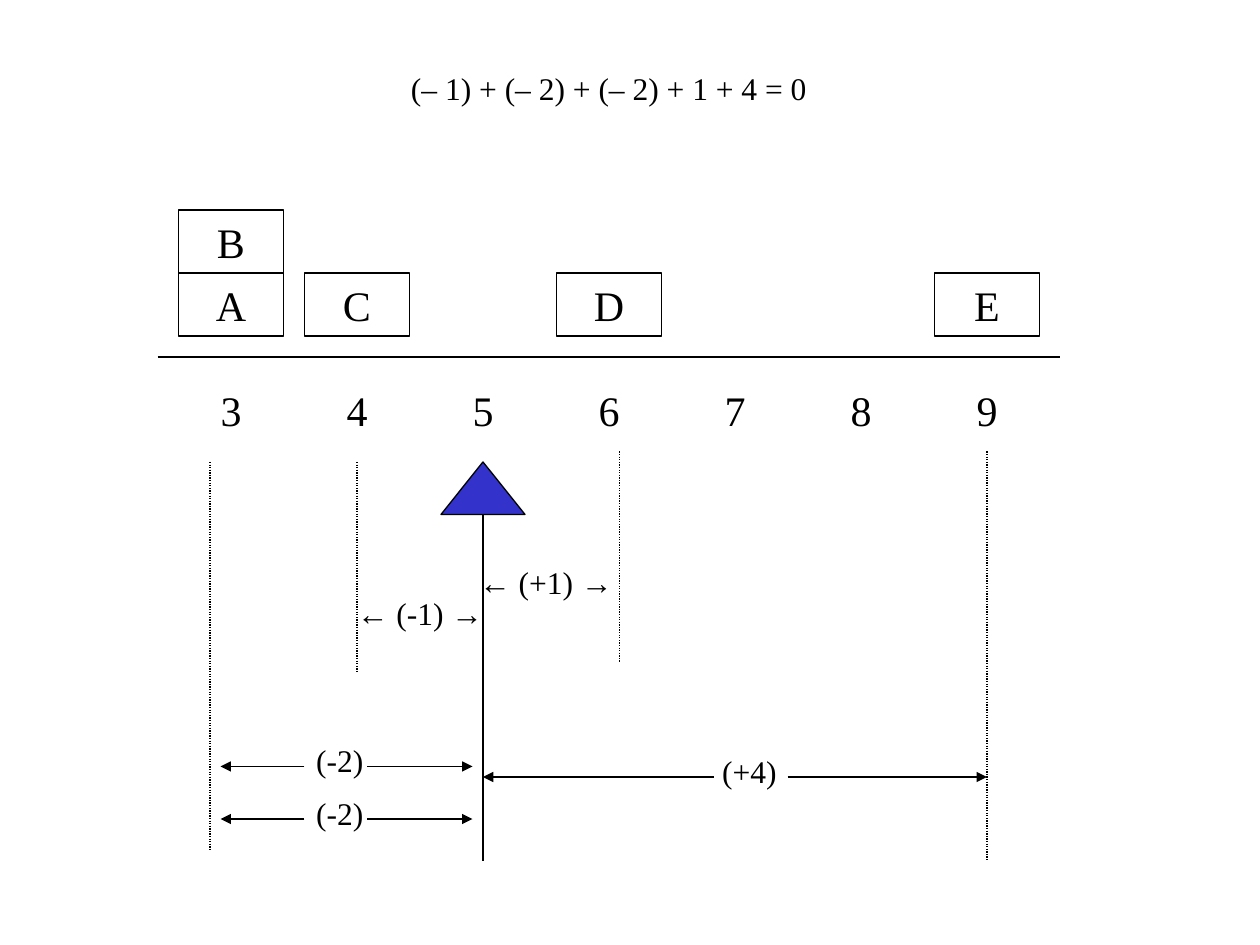
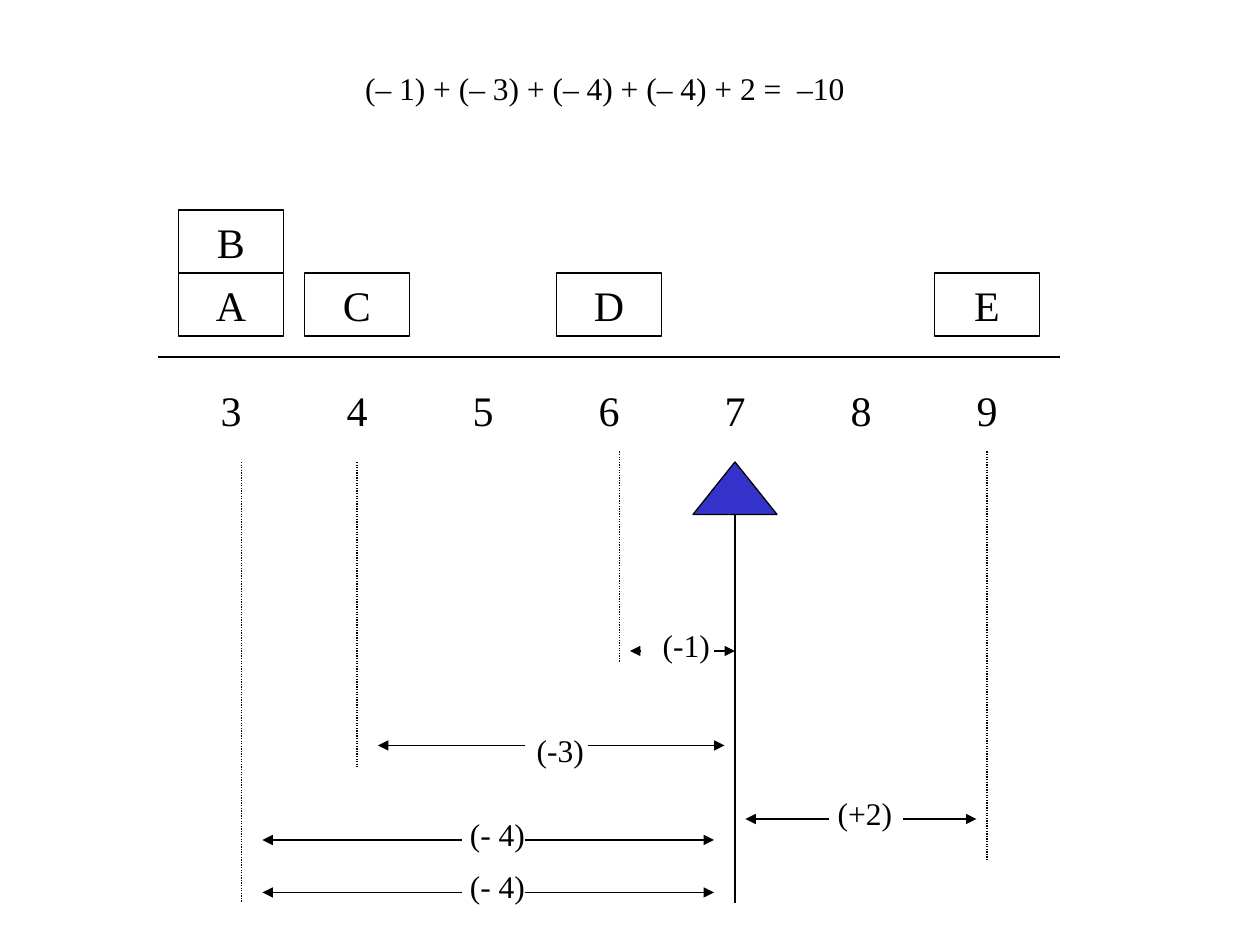
"""Builds two number-line balance slides showing deviations from a pivot."""
from pptx import Presentation
from pptx.dml.color import RGBColor
from pptx.enum.dml import MSO_LINE as Dash
from pptx.enum.shapes import MSO_CONNECTOR as Connector, MSO_SHAPE as Shape
from pptx.enum.text import MSO_ANCHOR as Anchor, MSO_AUTO_SIZE as AutoSize, PP_ALIGN as Align
from pptx.oxml.ns import qn
from pptx.util import Pt
from lxml.etree import SubElement

PX = 914400 // 120
BLACK = RGBColor(0x00, 0x00, 0x00)
BLUE = RGBColor(0x33, 0x33, 0xCC)
SERIF, SANS = "Times New Roman", "Arial"
LINE_WIDTH = Pt(0.75)
STEP, CELL_WIDTH, CELL_HEIGHT = 120, 100, 60
FIRST_NUMBER, LAST_NUMBER = 3, 9
BLOCKS = [("A", 3, 0), ("B", 3, 1), ("C", 4, 0), ("D", 6, 0), ("E", 9, 0)]

BALANCED = {
    "equation": " (– 1) + (– 2) + (– 2) + 1 + 4 = 0 ",
    "pivot": 5,
    "stem_end": 820,
    "guides": [(340, 440, 640), (200, 440, 810), (590, 430, 630), (940, 430, 820)],
    "short_spans": [(" (-1) ", 310, 560), (" (+1) ", 430, 530)],
    "spans": [
        (" (-2)", (200, 750, 240), 780, (210, 290), (350, 450)),
        (" (-2)", (200, 700, 240), 730, (210, 290), (350, 450)),
        (" (+4)", (490, 710, 440), 740, (460, 680), (750, 940)),
    ],
}
UNBALANCED = {
    "equation": " (– 1) + (– 3) + (– 4) + (– 4) + 2 =  –10  ",
    "pivot": 7,
    "stem_end": 860,
    "guides": [(340, 440, 730), (230, 440, 860), (590, 430, 630), (940, 430, 820)],
    "short_spans": [],
    "spans": [
        (" (+2)", (700, 750, 240), 780, (710, 790), (860, 930)),
        (" (-1)", (530, 590, 240), 620, (600, 610), (680, 700)),
        (" (-3)", (410, 690, 240), 710, (360, 500), (560, 690)),
        (" (- 4)", (350, 770, 240), 800, (250, 440), (500, 680)),
        (" (- 4)", (350, 820, 240), 850, (250, 440), (500, 680)),
    ],
}


def scaled(*lengths):
    return [length * PX for length in lengths]


def set_all(target, values):
    for name, value in values.items():
        setattr(target, name, value)


def outline(item):
    item.line.color.rgb = BLACK
    item.line.width = LINE_WIDTH


def write(box, runs, size):
    frame = box.text_frame
    set_all(frame, {"word_wrap": True, "vertical_anchor": Anchor.TOP,
                    "auto_size": AutoSize.SHAPE_TO_FIT_TEXT})
    para = frame.paragraphs[0]
    set_all(para, {"alignment": Align.CENTER, "space_before": Pt(size * 0.625)})
    for text, font_name in runs:
        span = para.add_run()
        span.text = text
        set_all(span.font, {"name": font_name, "size": Pt(size)})
        span.font.color.rgb = BLACK


def add_label(page, runs, left, top, width, height=48, size=18):
    write(page.shapes.add_textbox(*scaled(left, top, width, height)), runs, size)


def add_outlined(page, kind, left, top, width, height):
    shape = page.shapes.add_shape(kind, *scaled(left, top, width, height))
    shape.shadow.inherit = False
    shape.fill.background()
    outline(shape)
    return shape


def add_line(page, start, end, dash=None, arrow=False):
    line = page.shapes.add_connector(Connector.STRAIGHT, *scaled(*start, *end))
    outline(line)
    if dash:
        line.line.dash_style = dash
    properties = line._element.spPr
    if arrow:
        SubElement(properties.find(qn("a:ln")), qn("a:tailEnd"), type="triangle")
    SubElement(properties, qn("a:effectLst"))


def centre_of(number):
    return 220 + STEP * (number - FIRST_NUMBER)


def add_blocks(page):
    for letter, number, level in BLOCKS:
        block = add_outlined(page, Shape.RECTANGLE, centre_of(number) - CELL_WIDTH // 2,
                             260 - CELL_HEIGHT * level, CELL_WIDTH, CELL_HEIGHT)
        write(block, [(letter, SERIF)], 24)


def add_number_line(page):
    add_line(page, (150, 340), (1010, 340))
    for number in range(FIRST_NUMBER, LAST_NUMBER + 1):
        add_label(page, [(str(number), SERIF)], centre_of(number) - CELL_WIDTH // 2, 360,
                  CELL_WIDTH, CELL_HEIGHT, 24)


def add_pivot(page, number, stem_end):
    centre = centre_of(number)
    pivot = add_outlined(page, Shape.ISOSCELES_TRIANGLE, centre - 40, 440, 80, 50)
    pivot.fill.solid()
    pivot.fill.fore_color.rgb = BLUE
    add_line(page, (centre, 490), (centre, stem_end))


def add_span(page, text, label_area, y, left_arrow, right_arrow):
    add_label(page, [(text, SERIF)], *label_area)
    left_tip, left_start = left_arrow
    right_start, right_tip = right_arrow
    add_line(page, (left_start, y), (left_tip, y), arrow=True)
    add_line(page, (right_start, y), (right_tip, y), arrow=True)


def add_balance_slide(deck, content):
    page = deck.slides.add_slide(deck.slide_layouts[6])
    add_blocks(page)
    add_number_line(page)
    add_pivot(page, content["pivot"], content["stem_end"])
    for x, top, bottom in content["guides"]:
        add_line(page, (x, top), (x, bottom), dash=Dash.ROUND_DOT)
    for text, left, top in content["short_spans"]:
        add_label(page, [("←", SANS), (text, SERIF), ("→", SANS)], left, top, 180)
    for span in content["spans"]:
        add_span(page, *span)
    add_label(page, [(content["equation"], SERIF)], 280, 60, 600)


def main():
    deck = Presentation()
    deck.slide_width, deck.slide_height = scaled(1200, 900)
    for content in (BALANCED, UNBALANCED):
        add_balance_slide(deck, content)
    deck.save("out.pptx")


if __name__ == "__main__":
    main()
